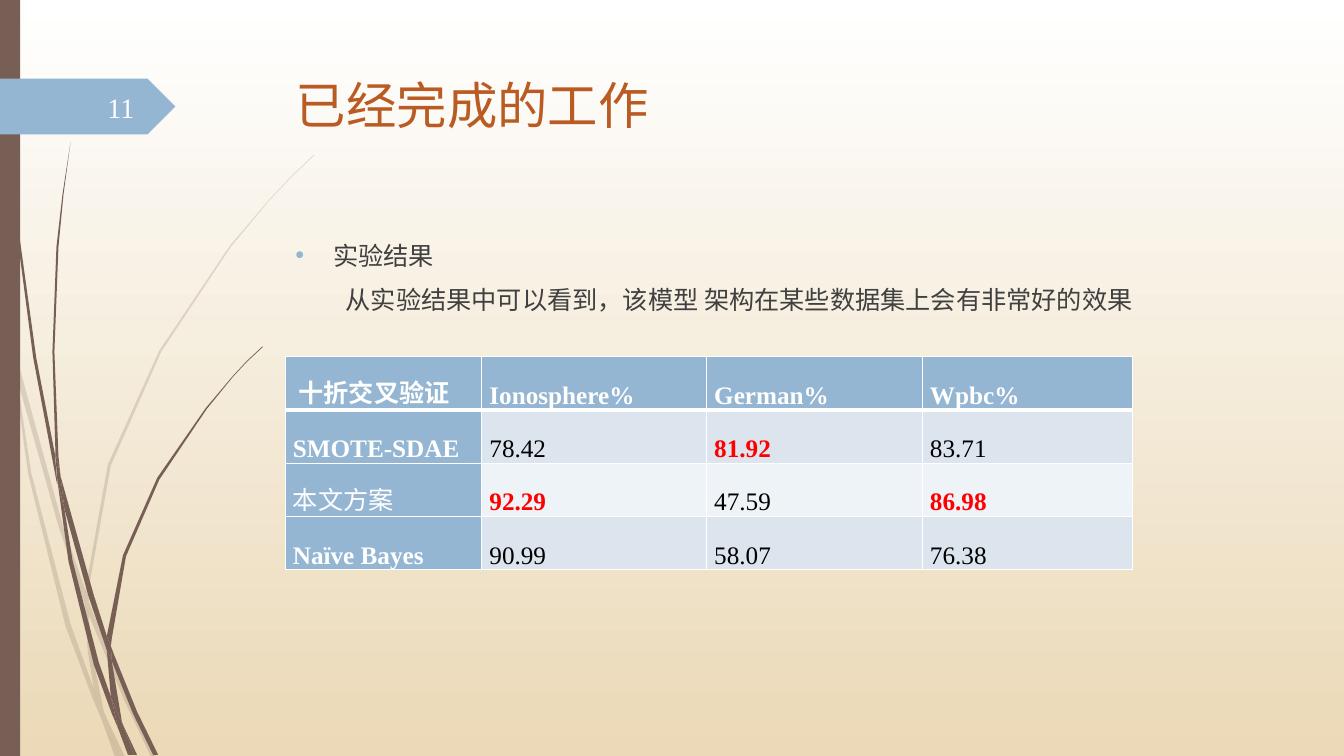
from lxml import etree
from pptx import Presentation
from pptx.dml.color import RGBColor
from pptx.enum.shapes import MSO_SHAPE
from pptx.enum.text import MSO_ANCHOR, PP_ALIGN
from pptx.oxml.ns import qn
from pptx.util import Pt

RECTANGLE = MSO_SHAPE.RECTANGLE
PENTAGON = MSO_SHAPE.PENTAGON
TOP, MIDDLE, BOTTOM = MSO_ANCHOR.TOP, MSO_ANCHOR.MIDDLE, MSO_ANCHOR.BOTTOM
LEFT, RIGHT, JUSTIFY = PP_ALIGN.LEFT, PP_ALIGN.RIGHT, PP_ALIGN.JUSTIFY

FONT = "Times New Roman"
BROWN, BLUE, WHITE = "775F55", "94B6D2", "FFFFFF"
BLACK, RED, GRAY = "000000", "FF0000", "404040"
BANDS = ["DCE5EE", "EEF3F7"]

GRID = 0.72
PALE_STEMS = [
    [(11, 350), (9, 322), (0, 282), (0, 299), (10, 344)],
    [(58, 522), (84, 599), (85, 586), (62, 520), (14, 345), (17, 376)],
    [(92, 607), (88, 596), (88, 610), (123, 694), (150, 751), (155, 751), (127, 692)],
    [(119, 751), (124, 751), (105, 711)],
    [(93, 683), (70, 619), (31, 469), (17, 376), (11, 350), (28, 470), (65, 621),
     (92, 693), (101, 714), (99, 707)],
    [(84, 599), (87, 646), (93, 683), (96, 692), (105, 711), (103, 706), (91, 646),
     (88, 610), (88, 608)],
    [(88, 584), (110, 462), (160, 349), (229, 245), (268, 198), (290, 175),
     (312, 154), (312, 153), (289, 175), (268, 197), (228, 244), (158, 348),
     (107, 461), (85, 584), (85, 586), (88, 596)],
    [(101, 714), (114, 751), (119, 751)],
    [(88, 608), (88, 610), (88, 596), (85, 586), (84, 599)],
    [(96, 692), (93, 683), (99, 707), (101, 714), (119, 751), (105, 711)],
]
DARK_STEMS = [
    [(7, 110), (17, 233), (33, 355), (56, 477), (57, 481), (55, 457), (55, 453),
     (36, 355), (19, 232), (8, 109), (5, 48), (4, 0), (3, 0), (4, 48)],
    [(88, 592), (106, 645), (106, 633), (106, 631), (93, 590), (60, 472), (64, 505)],
    [(113, 649), (110, 641), (111, 656), (132, 708), (152, 749), (157, 749), (136, 706)],
    [(110, 691), (98, 657), (72, 556), (64, 505), (57, 477), (68, 557), (93, 659),
     (111, 708), (117, 722), (116, 717)],
    [(60, 472), (58, 453), (54, 349), (58, 245), (63, 193), (70, 141), (62, 193),
     (56, 245), (52, 349), (55, 449)],
    [(133, 749), (136, 749), (122, 719)],
    [(57, 477), (64, 505), (60, 472), (55, 449), (55, 453)],
    [(111, 633), (125, 552), (158, 476), (205, 406), (231, 374), (245, 359),
     (261, 344), (260, 344), (245, 358), (231, 373), (204, 405), (156, 474),
     (122, 551), (106, 631), (110, 641)],
    [(117, 722), (127, 749), (131, 749)],
    [(106, 645), (110, 691), (116, 706), (122, 719), (121, 716), (111, 656), (109, 651)],
    [(106, 645), (109, 651), (111, 656), (110, 641), (106, 631), (106, 633)],
    [(116, 706), (110, 691), (116, 717), (117, 722), (130, 749), (133, 749), (122, 719)],
]

COLUMN_WIDTHS = [140.4, 160.6, 154.1, 149.8]
ROW_HEIGHT = 38
RESULTS = [
    ["\N{NO-BREAK SPACE}十折交叉验证", "Ionosphere%", "German%", "Wpbc%"],
    ["SMOTE-SDAE", "78.42", "81.92", "83.71"],
    ["本文方案", "92.29", "47.59", "86.98"],
    ["Naïve Bayes", "90.99", "58.07", "76.38"],
]
BEST_RESULTS = {"81.92", "92.29", "86.98"}
LIGHT_LABEL = "本文方案"


def color(value):
    return RGBColor.from_string(value)


def paint(shape, fill, opacity=100):
    shape.shadow.inherit = False
    shape.fill.solid()
    shape.fill.fore_color.rgb = color(fill)
    shape.line.fill.background()
    if opacity < 100:
        fill_color = shape.fill._xPr.find(qn("a:solidFill"))[0]
        etree.SubElement(fill_color, qn("a:alpha"), val=str(opacity * 1000))


def paint_background(slide):
    fill = slide.background.fill
    fill.gradient()
    fill.gradient_angle = 270
    for stop, position, value in zip(fill.gradient_stops, (0, 1), (WHITE, "EBD9B7")):
        stop.position = position
        stop.color.rgb = color(value)


def add_stem(slide, points, opacity):
    outline = [(Pt(x * GRID), Pt(y * GRID)) for x, y in points]
    builder = slide.shapes.build_freeform(*outline[0])
    builder.add_line_segments(outline[1:], close=True)
    paint(builder.convert_to_shape(), BROWN, opacity)


def add_block(slide, kind, left, top, width, height, fill):
    shape = slide.shapes.add_shape(kind, Pt(left), Pt(top), Pt(width), Pt(height))
    paint(shape, fill)


def format_paragraph(paragraph, size, value, alignment=LEFT, bold=False):
    paragraph.alignment = alignment
    for run in paragraph.runs:
        run.font.name = FONT
        run.font.size = Pt(size)
        run.font.bold = bold
        run.font.color.rgb = color(value)


def add_text(slide, box, lines, size, value, alignment=LEFT, anchor=TOP):
    shape = slide.shapes.add_textbox(*[Pt(length) for length in box])
    frame = shape.text_frame
    frame.word_wrap = True
    frame.vertical_anchor = anchor
    frame.text = "\n".join(lines)
    for paragraph in frame.paragraphs:
        format_paragraph(paragraph, size, value, alignment)
    return frame.paragraphs


def indent(paragraph, margin, first_line=0):
    properties = paragraph._p.get_or_add_pPr()
    properties.set("marL", str(Pt(margin)))
    properties.set("indent", str(Pt(first_line)))
    return properties


def add_bullet(paragraph):
    properties = indent(paragraph, 27, -27)
    bullet_color = etree.SubElement(properties, qn("a:buClr"))
    etree.SubElement(bullet_color, qn("a:srgbClr"), val=BLUE)
    etree.SubElement(properties, qn("a:buFont"), typeface="Arial")
    etree.SubElement(properties, qn("a:buChar"), char="•")


def set_borders(cell, bottom):
    properties = cell._tc.get_or_add_tcPr()
    sides = [("a:lnL", 1), ("a:lnR", 1), ("a:lnT", 1), ("a:lnB", bottom)]
    for index, (side, width) in enumerate(sides):
        line = etree.Element(qn(side), w=str(Pt(width)))
        fill = etree.SubElement(line, qn("a:solidFill"))
        etree.SubElement(fill, qn("a:srgbClr"), val=WHITE)
        properties.insert(index, line)


def fill_cell(cell, text, row, column):
    is_label = row == 0 or column == 0
    is_best = text in BEST_RESULTS
    cell.text = text
    cell.vertical_anchor = BOTTOM
    cell.margin_left = cell.margin_right = Pt(5.4)
    cell.margin_top = cell.margin_bottom = Pt(0)
    cell.fill.solid()
    cell.fill.fore_color.rgb = color(BLUE if is_label else BANDS[(row - 1) % 2])
    value = WHITE if is_label else RED if is_best else BLACK
    bold = is_best or (is_label and text != LIGHT_LABEL)
    format_paragraph(cell.text_frame.paragraphs[0], 18, value, JUSTIFY, bold)
    set_borders(cell, 3 if row == 0 else 1)


def add_results_table(slide, left, top):
    frame = slide.shapes.add_table(
        len(RESULTS), len(COLUMN_WIDTHS), Pt(left), Pt(top),
        Pt(sum(COLUMN_WIDTHS)), Pt(ROW_HEIGHT * len(RESULTS)))
    table = frame.table
    for column, width in zip(table.columns, COLUMN_WIDTHS):
        column.width = Pt(width)
    for row_index, texts in enumerate(RESULTS):
        table.rows[row_index].height = Pt(ROW_HEIGHT)
        for column_index, text in enumerate(texts):
            fill_cell(table.cell(row_index, column_index), text, row_index, column_index)


def main():
    presentation = Presentation()
    presentation.slide_width, presentation.slide_height = Pt(960), Pt(540)
    slide = presentation.slides.add_slide(presentation.slide_layouts[6])
    paint_background(slide)
    for stems, opacity in ((PALE_STEMS, 20), (DARK_STEMS, 100)):
        for points in stems:
            add_stem(slide, points, opacity)
    add_block(slide, RECTANGLE, 0, 0, 14.4, 540, BROWN)
    add_block(slide, PENTAGON, 0, 56.2, 125.3, 39.8, BLUE)
    add_text(slide, (204.3, 49.4, 702, 101), ["已经完成的工作"], 36, "B95B22")
    heading, finding = add_text(
        slide, (203.8, 167.8, 702, 297.4),
        ["实验结果", "从实验结果中可以看到，该模型 架构在某些数据集上会有非常好的效果"], 18, GRAY)
    add_bullet(heading)
    indent(finding, 36)
    finding.space_before = Pt(10)
    add_text(slide, (41.8, 62, 61.2, 28.8), ["11"], 20, "FEFFFF", RIGHT, MIDDLE)
    add_results_table(slide, 203.8, 254.9)
    presentation.save("out.pptx")


if __name__ == "__main__":
    main()
